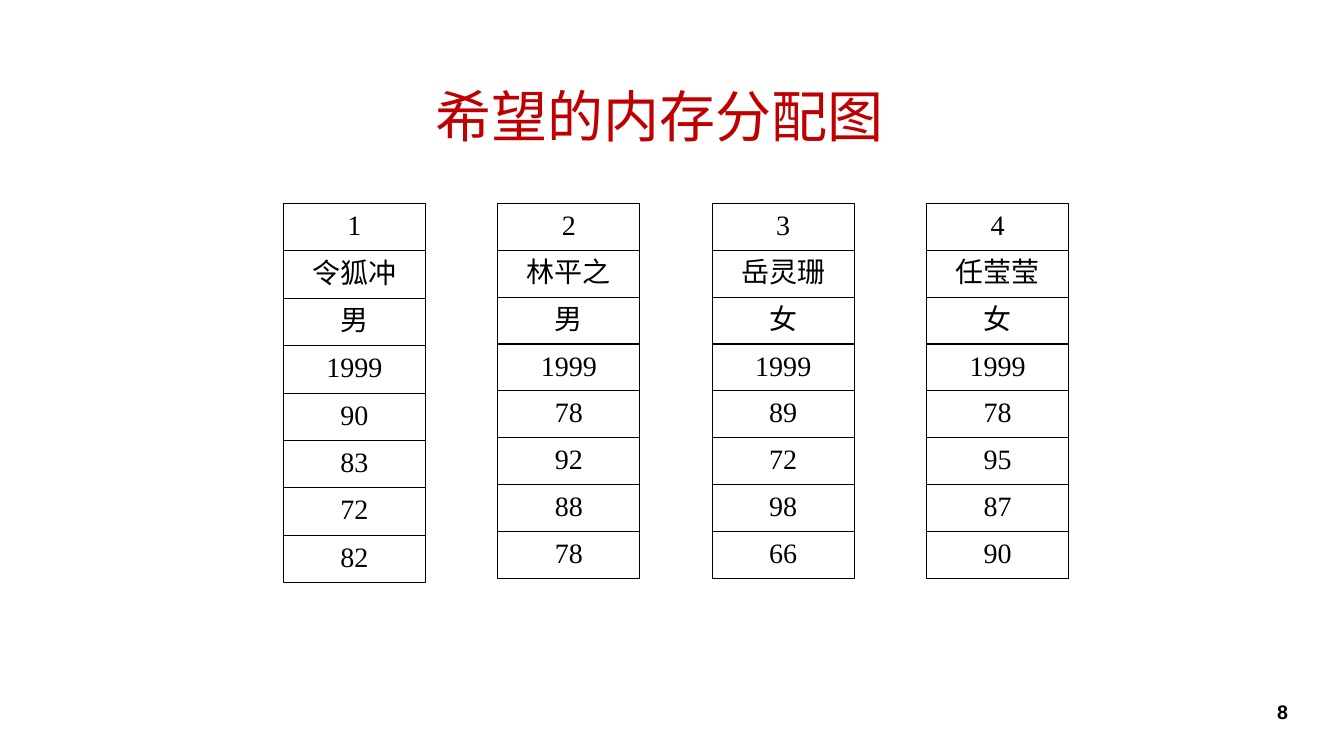
from pptx import Presentation
from pptx.dml.color import RGBColor
from pptx.enum.shapes import MSO_SHAPE
from pptx.enum.text import MSO_ANCHOR, PP_ALIGN
from pptx.util import Inches, Pt

RED = RGBColor(0xC0, 0x00, 0x00)
BLACK = RGBColor(0x00, 0x00, 0x00)
WHITE = RGBColor(0xFF, 0xFF, 0xFF)

TITLE = {"name": "Arial Narrow", "size": Pt(40)}
NUMBER = {"name": "Arial", "size": Pt(14), "bold": True}
CELL = {"name": "Times New Roman", "size": Pt(20)}
INSETS = {"margin_left": Inches(0.1), "margin_right": Inches(0.1),
          "margin_top": Inches(0.04), "margin_bottom": Inches(0),
          "vertical_anchor": MSO_ANCHOR.TOP, "word_wrap": True}


def add_run(par, text, style, color):
    run = par.add_run()
    run.text = text
    for key, value in style.items():
        setattr(run.font, key, value)
    run.font.color.rgb = color


def add_box(left, top, width, height):
    box = slide.shapes.add_textbox(
        Inches(left), Inches(top), Inches(width), Inches(height))
    box.text_frame.word_wrap = True
    box.text_frame.vertical_anchor = MSO_ANCHOR.MIDDLE
    return box.text_frame.paragraphs[0]


deck = Presentation()
deck.slide_width = Inches(13.33)
deck.slide_height = Inches(7.5)
slide = deck.slides.add_slide(deck.slide_layouts[6])

# Title, with a taller space that sets the line height
par = add_box(4.22, 0.53, 7.95, 1.18)
par.line_spacing = 0.9
add_run(par, "希望的内存分配图", TITLE, RED)
add_run(par, " ", {**TITLE, "size": Pt(54)}, RED)

# Slide number
par = add_box(12.37, 6.86, 0.7, 0.4)
par.alignment = PP_ALIGN.CENTER
add_run(par, "8", NUMBER, BLACK)

# Student records: one column of memory cells each
records = [
    ["1", "令狐冲", "男", "1999", "90", "83", "72", "82"],
    ["2", "林平之", "男", "1999", "78", "92", "88", "78"],
    ["3", "岳灵珊", "女", "1999", "89", "72", "98", "66"],
    ["4", "任莹莹", "女", "1999", "78", "95", "87", "90"],
]
LEFT, TOP, WIDTH, HEIGHT = 2.81, 2.02, 1.41, 0.47
STEP = 6.38 / 3

for col, record in enumerate(records):
    # The first column is stacked a little looser than the rest
    pitch = HEIGHT if col == 0 else 3.25 / 7
    for row, text in enumerate(record):
        cell = slide.shapes.add_shape(
            MSO_SHAPE.RECTANGLE, Inches(LEFT + col * STEP),
            Inches(TOP + row * pitch), Inches(WIDTH), Inches(HEIGHT))
        cell.shadow.inherit = False
        cell.fill.solid()
        cell.fill.fore_color.rgb = WHITE
        cell.line.color.rgb = BLACK
        cell.line.width = Pt(0.75)
        frame = cell.text_frame
        for key, value in INSETS.items():
            setattr(frame, key, value)
        par = frame.paragraphs[0]
        par.alignment = PP_ALIGN.CENTER
        add_run(par, text, CELL, BLACK)

deck.save("out.pptx")
